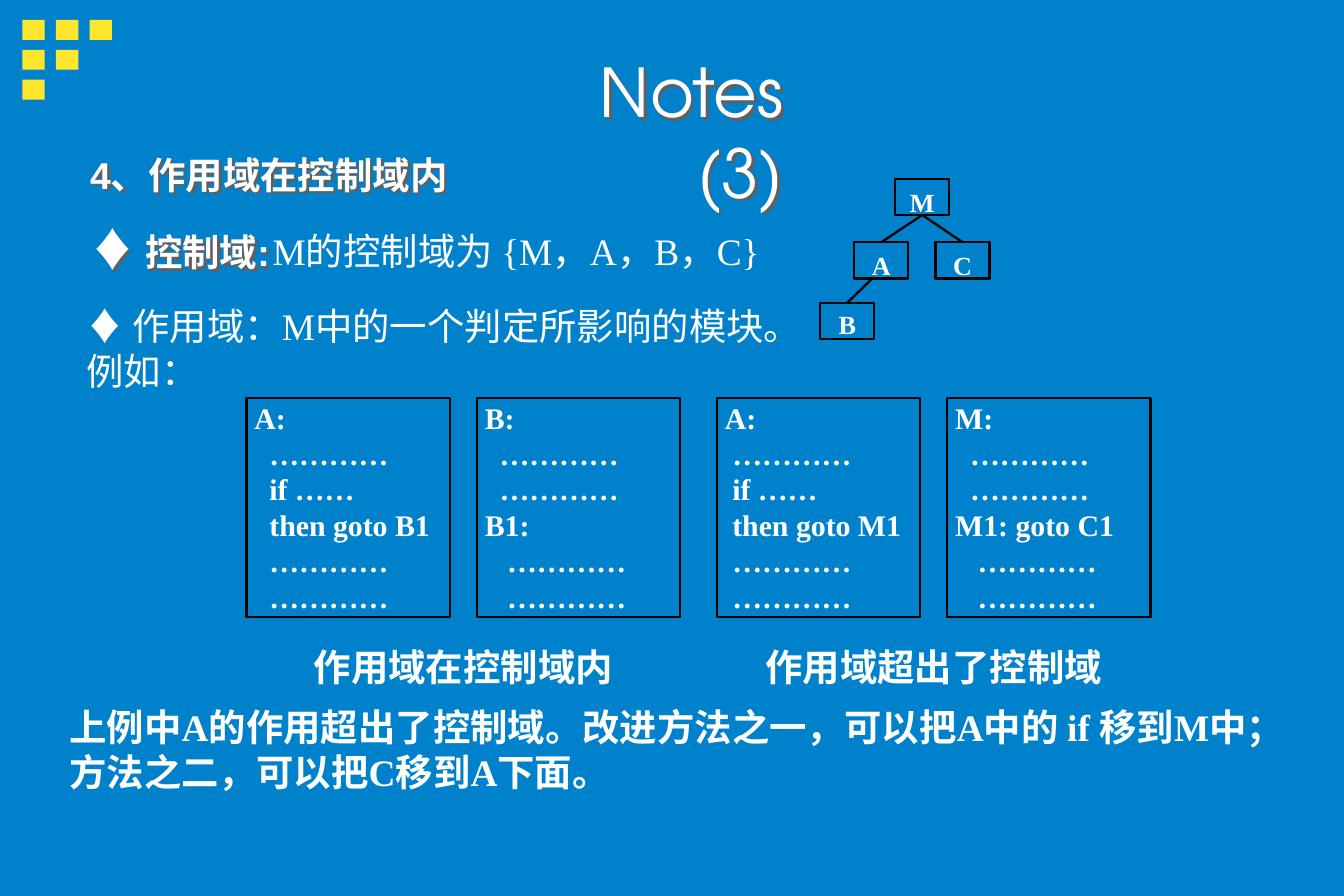
from lxml import etree
from pptx import Presentation
from pptx.dml.color import RGBColor
from pptx.enum.shapes import MSO_CONNECTOR, MSO_SHAPE
from pptx.enum.text import MSO_ANCHOR, PP_ALIGN
from pptx.oxml.ns import qn
from pptx.util import Pt

RECT = MSO_SHAPE.RECTANGLE
LINE = MSO_CONNECTOR.STRAIGHT
TOP = MSO_ANCHOR.TOP
LEFT, MID, RIGHT, FULL = PP_ALIGN.LEFT, PP_ALIGN.CENTER, PP_ALIGN.RIGHT, PP_ALIGN.JUSTIFY
BLUE = RGBColor(0x00, 0x81, 0xCB)
GOLD = RGBColor(0xFF, 0xE6, 0x2D)
GRAY = RGBColor(0x60, 0x60, 0x60)
WHITE = RGBColor(0xFF, 0xFF, 0xFF)
BLACK = RGBColor(0x00, 0x00, 0x00)
SERIF, SANS, ROUND = "Times New Roman", "Arial", "TeX Gyre Adventor"

TITLE = "Notes (3)"
HEAD = ["4、作用域在控制域内", [("♦ ", 24, SANS), ("控制域:", 20, SANS)]]
RANGE = "M的控制域为 {M，A，B，C}"
SCOPE = [[("♦", 20, SANS), (" 作用域：M中的一个判定所影响的模块。", 20, SERIF)], "例如："]
CLOSE = "上例中A的作用超出了控制域。改进方法之一，可以把A中的 if 移到M中；方法之二，可以把C移到A下面。"
NODES = {"M": (479.6, 95.8), "A": (457.6, 129.8), "C": (501.2, 129.8), "B": (439.4, 162.2)}
DOTS = "…………"
PAIRS = [
    ("作用域在控制域内", [
        ["A:", "  " + DOTS, "  if ……", "  then goto B1", "  " + DOTS, "  " + DOTS],
        ["B:", "  " + DOTS, "  " + DOTS, "B1:", "   " + DOTS, "   " + DOTS],
    ]),
    ("作用域超出了控制域", [
        ["A:", " " + DOTS, " if ……", " then goto M1", " " + DOTS, " " + DOTS],
        ["M:", "  " + DOTS, "  " + DOTS, "M1: goto C1", "   " + DOTS, "   " + DOTS],
    ]),
]

prs = Presentation()
prs.slide_width, prs.slide_height = Pt(720), Pt(480)
slide = prs.slides.add_slide(prs.slide_layouts[6])
slide.background.fill.solid()
slide.background.fill.fore_color.rgb = BLUE
shapes = slide.shapes


def shade(shape):
    fx = etree.SubElement(shape._element.spPr, qn("a:effectLst"))
    drop = etree.SubElement(fx, qn("a:outerShdw"), dist=str(Pt(2)), dir="2700000")
    etree.SubElement(drop, qn("a:srgbClr"), val=str(GRAY))


def write(shape, text, size=20, face=SERIF, bold=False, align=LEFT, space=1.0,
          before=0, hang=0, inset=(7.2, 3.6)):
    frame = shape.text_frame
    frame.word_wrap = True
    frame.vertical_anchor = TOP
    frame.margin_left = frame.margin_right = Pt(inset[0])
    frame.margin_top = frame.margin_bottom = Pt(inset[1])
    for i, item in enumerate([text] if isinstance(text, str) else text):
        para = frame.add_paragraph() if i else frame.paragraphs[0]
        para.alignment, para.line_spacing = align, space
        if i and before:
            para.space_before = Pt(before)
        if hang:
            props = para._p.get_or_add_pPr()
            props.set("marL", str(Pt(hang)))
            props.set("indent", str(-Pt(hang)))
        for words, points, font in [(item, size, face)] if isinstance(item, str) else item:
            run = para.add_run()
            run.text = words
            run.font.size, run.font.name, run.font.bold = Pt(points), font, bold
            run.font.color.rgb = WHITE


def label(x, y, w, h, text, **style):
    shape = shapes.add_textbox(Pt(x), Pt(y), Pt(w), Pt(h))
    write(shape, text, **style)
    return shape


def box(x, y, w, h, fill=None):
    shape = shapes.add_shape(RECT, Pt(x), Pt(y), Pt(w), Pt(h))
    shape.shadow.inherit = False
    if fill:
        shape.fill.solid()
        shape.fill.fore_color.rgb = fill
        shape.line.fill.background()
    else:
        shape.fill.background()
        shape.line.color.rgb = BLACK
        shape.line.width = Pt(1.25)
    return shape


def link(start, end, x=None):
    low = start.top + start.height
    wire = shapes.add_connector(LINE, Pt(x or 0), low, end.left, end.top)
    if x is None:
        wire.begin_connect(start, 2)
    wire.end_connect(end, 0)
    wire.line.color.rgb = BLACK
    wire.line.width = Pt(1.25)
    etree.SubElement(wire._element.spPr, qn("a:effectLst"))


for row in range(3):
    for col in range(3 - row):
        box(12 + 18 * col, 10.7 + 16 * row, 12, 10.7, GOLD)

shade(label(267.1, 24.7, 157.7, 90.7, TITLE, size=36, face=ROUND, align=RIGHT,
            inset=(5, 2.2)))
shade(label(41.2, 70.6, 318.2, 101.5, HEAD, face=SANS, bold=True, space=1.3,
            before=5, hang=27.4))

nodes = {}
for name, (x, y) in NODES.items():
    nodes[name] = box(x, y, 29, 19.4)
    write(nodes[name], name, size=14, bold=True, align=MID,
          space=1.15 if name == "B" else 1.2, inset=(1.4, 0.5))
link(nodes["M"], nodes["A"])
link(nodes["M"], nodes["C"])
link(nodes["A"], nodes["B"], x=467.3)

label(139, 123.1, 372.2, 26.6, RANGE, space=0.8)
label(39.3, 159.1, 612, 79.9, SCOPE)

WIDE, STEP = 109, 123.4
for i, (title, codes) in enumerate(PAIRS):
    left = 132 + 252 * i
    for j, code in enumerate(codes):
        write(box(left + STEP * j, 213.3, WIDE, 117.4), code, size=16, bold=True,
              align=FULL, inset=(4.3, 0.7))
    label(left, 341.6, STEP + WIDE, 31.7, title, bold=True, align=MID)

label(30.1, 373.7, 666, 55.4, CLOSE, bold=True)

prs.save("out.pptx")
